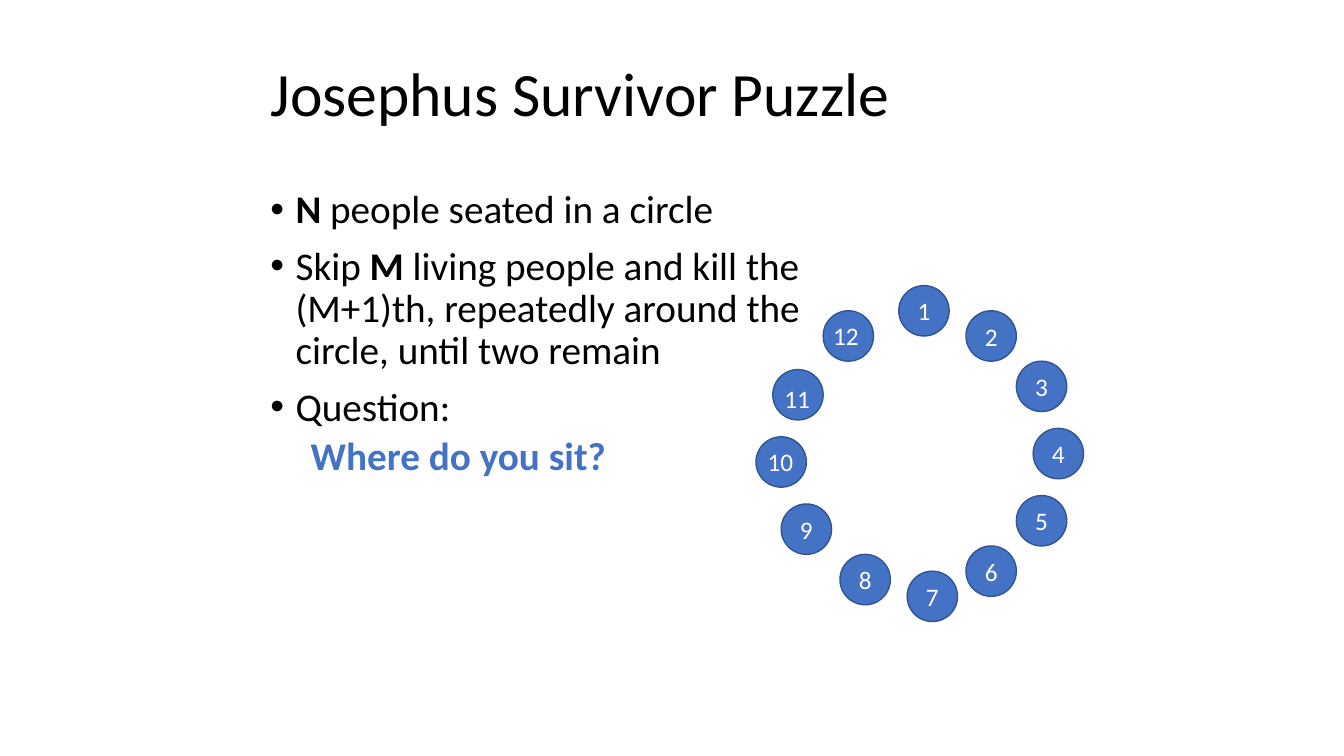
from lxml import etree
from pptx import Presentation, util as u
from pptx.dml import color
from pptx.enum import shapes, text
from pptx.oxml import ns

COLORS = {"ink": "000000", "blue": "4472C4", "outline": "325491", "white": "FFFFFF"}
COLUMNS, ROWS = 160, 90

presentation = Presentation()
presentation.slide_width, presentation.slide_height = u.Inches(13.333), u.Inches(7.5)
column = presentation.slide_width / COLUMNS
row = presentation.slide_height / ROWS
slide = presentation.slides.add_slide(presentation.slide_layouts[5])


def place(left, top, width, height):
    """Turn grid columns and rows into slide lengths."""
    return [round(left * column), round(top * row), round(width * column), round(height * row)]


def add_run(paragraph, words, size, ink, bold=False):
    """Append a formatted run to a paragraph."""
    run = paragraph.add_run()
    run.text = words
    for name, value in {"name": "Calibri", "size": u.Pt(size), "bold": bold}.items():
        setattr(run.font, name, value)
    run.font.color.rgb = color.RGBColor.from_string(COLORS[ink])


# Title
title = slide.shapes.title
for name, value in zip(("left", "top", "width", "height"), place(31, 4, 92, 15)):
    setattr(title, name, value)
title_format = {"vertical_anchor": text.MSO_ANCHOR.MIDDLE, "word_wrap": True,
                "auto_size": text.MSO_AUTO_SIZE.NONE}
for name, value in title_format.items():
    setattr(title.text_frame, name, value)
paragraph = title.text_frame.paragraphs[0]
paragraph.alignment, paragraph.line_spacing = text.PP_ALIGN.LEFT, 0.9
add_run(paragraph, "Josephus Survivor Puzzle", 44, "ink")

# Rules of the puzzle: runs of (words, bold), bulleted or not
rules = [
    ([("N", True), (" people seated in a circle", False)], True),
    ([("Skip ", False), ("M", True),
      (" living people and kill the (M+1)th, repeatedly around the circle, until two remain",
       False)], True),
    ([("Question:", False)], True),
    ([("Where do you sit?", True)], False),
]
frame = slide.shapes.add_textbox(*place(31, 22, 68, 46)).text_frame
frame.word_wrap = True
for index, (runs, bulleted) in enumerate(rules):
    paragraph = frame.add_paragraph() if index else frame.paragraphs[0]
    paragraph.level = 0 if bulleted else 1
    paragraph.line_spacing = 0.9
    paragraph.space_before = u.Pt(10 if bulleted else 5)
    properties = paragraph._p.get_or_add_pPr()
    properties.set("marL", str(u.Inches(0.25 if bulleted else 0.4)))
    properties.set("indent", str(u.Inches(-0.25 if bulleted else 0)))
    if bulleted:
        etree.SubElement(properties, ns.qn("a:buFont")).set("typeface", "Arial")
        etree.SubElement(properties, ns.qn("a:buChar")).set("char", "•")
    else:
        etree.SubElement(properties, ns.qn("a:buNone"))
    for words, bold in runs:
        add_run(paragraph, words, 28, "ink" if bulleted else "blue", bold)

# Seats around the circle, clockwise from the top, as grid column and row
seats = [(107, 34), (115, 37), (121, 43), (123, 51), (121, 59), (115, 65),
         (108, 68), (100, 66), (93, 60), (90, 52), (92, 44), (98, 37)]
for number, (left, top) in enumerate(seats, 1):
    seat = slide.shapes.add_shape(shapes.MSO_SHAPE.OVAL, *place(left, top, 6, 6))
    seat.shadow.inherit = False
    seat.fill.solid()
    seat.fill.fore_color.rgb = color.RGBColor.from_string(COLORS["blue"])
    seat.line.color.rgb = color.RGBColor.from_string(COLORS["outline"])
    seat.line.width = u.Pt(1)
    if number < 10:
        seat.text_frame.vertical_anchor = text.MSO_ANCHOR.MIDDLE
        paragraph = seat.text_frame.paragraphs[0]
        paragraph.alignment = text.PP_ALIGN.CENTER
        add_run(paragraph, str(number), 18, "white")

# Two-digit numbers are wider than a seat's text area, so they lie on top
labels = {10: (90.2, 52.5), 11: (92.2, 45), 12: (98, 37.5)}
for number, (left, top) in labels.items():
    frame = slide.shapes.add_textbox(*place(left, top, 5.5, 4.8)).text_frame
    frame.word_wrap = False
    frame.auto_size = text.MSO_AUTO_SIZE.SHAPE_TO_FIT_TEXT
    add_run(frame.paragraphs[0], str(number), 18, "white")

presentation.save("out.pptx")
